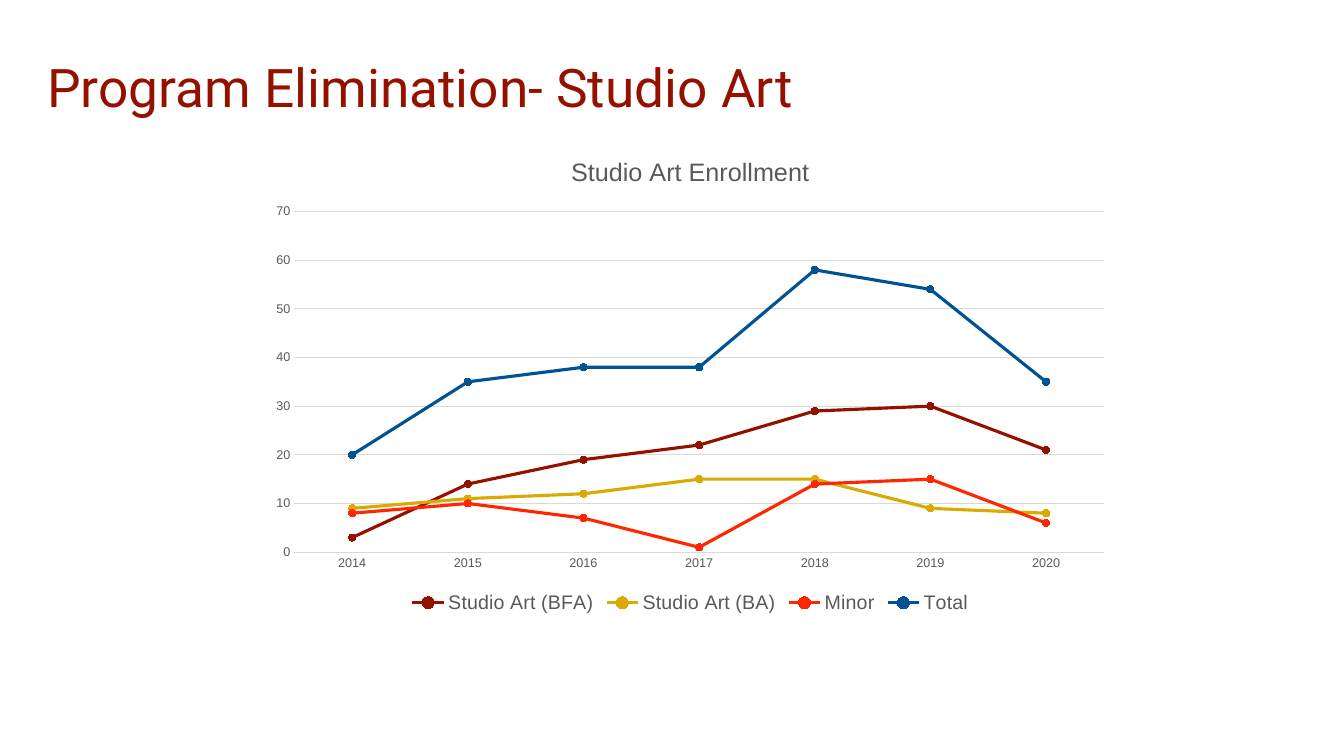
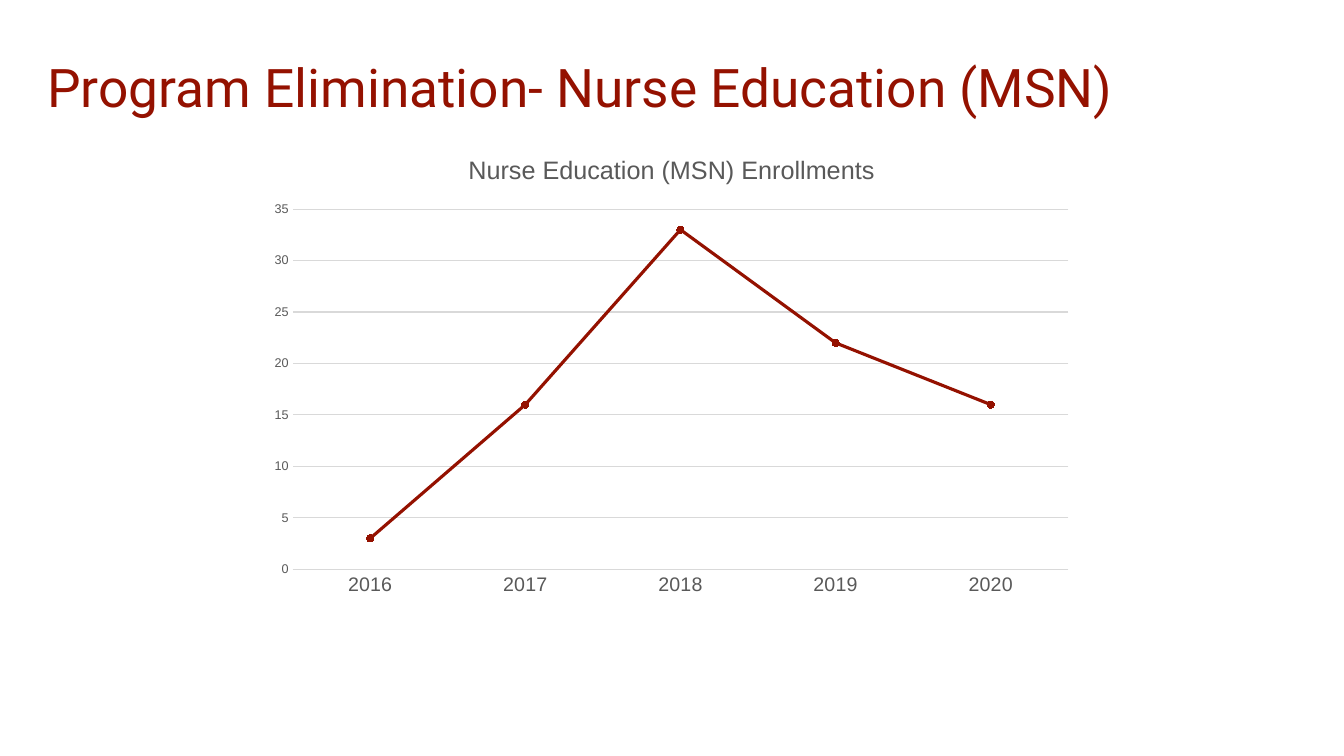
from pptx import Presentation
from pptx.chart.data import CategoryChartData
from pptx.dml.color import RGBColor
from pptx.enum.chart import XL_CHART_TYPE, XL_LEGEND_POSITION, XL_MARKER_STYLE, XL_TICK_MARK
from pptx.enum.text import MSO_ANCHOR
from pptx.util import Inches, Pt

COLORS = {"red": "941100", "gold": "DAAA01", "scarlet": "FF2600",
          "blue": "005392", "gray": "595959", "grid": "D9D9D9"}
SLIDES = [
    {"title": "Program Elimination- Studio Art",
     "chart_title": "Studio Art Enrollment",
     "type": XL_CHART_TYPE.LINE_MARKERS,
     "box": (2.57, 1.35, 8.55, 4.78),
     "years": range(2014, 2021), "year_size": 9, "legend": True,
     "series": [("Studio Art (BFA)", "red", (3, 14, 19, 22, 29, 30, 21)),
                ("Studio Art (BA)", "gold", (9, 11, 12, 15, 15, 9, 8)),
                ("Minor", "scarlet", (8, 10, 7, 1, 14, 15, 6)),
                ("Total", "blue", (20, 35, 38, 38, 58, 54, 35))]},
    {"title": "Program Elimination- Nurse Education (MSN)",
     "chart_title": "Nurse Education (MSN) Enrollments",
     "type": XL_CHART_TYPE.LINE_MARKERS_STACKED,
     "box": (2.56, 1.33, 8.2, 4.67),
     "years": range(2016, 2021), "year_size": 14, "legend": False,
     "series": [("Series 1", "red", (3, 16, 33, 22, 16))]},
]


def set_font(font, size, color, name="Arial"):
    for key, value in {"size": Pt(size), "name": name, "bold": False}.items():
        setattr(font, key, value)
    font.color.rgb = RGBColor.from_string(COLORS[color])


def set_line(line, color, width):
    line.color.rgb = RGBColor.from_string(COLORS[color])
    line.width = Pt(width)


prs = Presentation()
prs.slide_width, prs.slide_height = Inches(13.33), Inches(7.5)

for page in SLIDES:
    s = prs.slides.add_slide(prs.slide_layouts[6])
    tf = s.shapes.add_textbox(Inches(0.37), Inches(0.17), Inches(11.5), Inches(1.45)).text_frame
    tf.word_wrap = True
    tf.vertical_anchor = MSO_ANCHOR.MIDDLE
    p = tf.paragraphs[0]
    p.line_spacing = 0.9
    r = p.add_run()
    r.text = page["title"]
    set_font(r.font, 38, "red", "Roboto")

    data = CategoryChartData()
    data.categories = [str(year) for year in page["years"]]
    for name, color, values in page["series"]:
        data.add_series(name, values)
    box = [Inches(v) for v in page["box"]]
    chart = s.shapes.add_chart(page["type"], *box, data).chart
    set_font(chart.font, 10, "gray")

    chart.has_title = True
    chart.chart_title.include_in_layout = False
    p = chart.chart_title.text_frame.paragraphs[0]
    r = p.add_run()
    r.text = page["chart_title"]
    set_font(r.font, 18, "gray")

    chart.has_legend = page["legend"]
    if page["legend"]:
        chart.legend.position = XL_LEGEND_POSITION.BOTTOM
        chart.legend.include_in_layout = False
        set_font(chart.legend.font, 14, "gray")

    for axis, size in ((chart.category_axis, page["year_size"]), (chart.value_axis, 9)):
        axis.major_tick_mark = axis.minor_tick_mark = XL_TICK_MARK.NONE
        set_font(axis.tick_labels.font, size, "gray")
    set_line(chart.category_axis.format.line, "grid", 0.75)
    chart.value_axis.format.line.fill.background()
    chart.value_axis.has_major_gridlines = True
    set_line(chart.value_axis.major_gridlines.format.line, "grid", 0.75)

    plot = chart.plots[0]
    plot.vary_by_categories = False
    for series, (name, color, values) in zip(plot.series, page["series"]):
        series.smooth = False
        set_line(series.format.line, color, 2.25)
        marker = series.marker
        marker.style, marker.size = XL_MARKER_STYLE.CIRCLE, 5
        marker.format.fill.solid()
        marker.format.fill.fore_color.rgb = RGBColor.from_string(COLORS[color])
        set_line(marker.format.line, color, 0.75)

prs.save("out.pptx")
